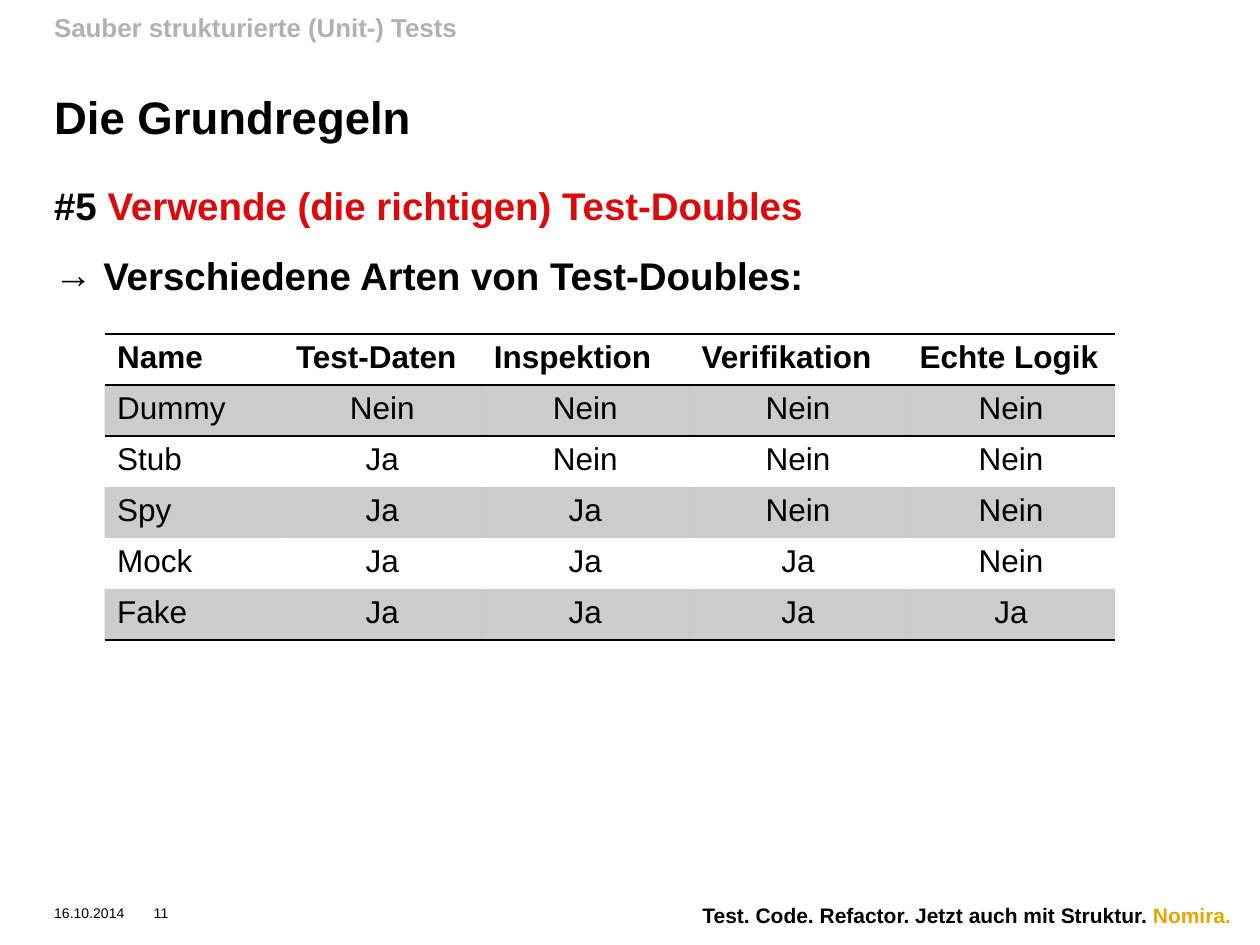
from lxml.etree import SubElement
from pptx import Presentation
from pptx.dml.color import RGBColor
from pptx.enum.text import MSO_ANCHOR as Anchor, PP_ALIGN as Align
from pptx.oxml import parse_xml
from pptx.oxml.ns import nsdecls, qn
from pptx.util import Inches, Pt

COLORS = {"text": "000000", "accent": "DC0A0A", "muted": "B0B1B3", "brand": "E1A800"}
FONT = "Arial"
NO_STYLE = "{2D5ABB26-0587-4C30-8999-92F81FD0307C}"
LEFT, WIDTH = 0.43, 8.67
COLUMN_WIDTHS = [1.42, 1.57, 1.65, 1.73, 1.65]
ROW_HEIGHT = 0.405
DOUBLES = [
    ["Name", "Test-Daten", "Inspektion", "Verifikation", "Echte Logik"],
    ["Dummy", "Nein", "Nein", "Nein", "Nein"],
    ["Stub", "Ja", "Nein", "Nein", "Nein"],
    ["Spy", "Ja", "Ja", "Nein", "Nein"],
    ["Mock", "Ja", "Ja", "Ja", "Nein"],
    ["Fake", "Ja", "Ja", "Ja", "Ja"],
]


def style_run(run, size, color="text", bold=False):
    font = run.font
    font.name, font.size, font.bold = FONT, Pt(size), bold
    font.color.rgb = RGBColor.from_string(COLORS[color])


def add_span(para, text, size, color="text", bold=False):
    span = para.add_run()
    span.text = text
    style_run(span, size, color, bold)


def add_frame(page, left, top, width, height, anchor=Anchor.TOP, wrap=True):
    """Add a text box without margins and return its text frame."""
    box = page.shapes.add_textbox(*map(Inches, (left, top, width, height)))
    frame = box.text_frame
    frame.margin_left = frame.margin_right = frame.margin_top = frame.margin_bottom = 0
    frame.vertical_anchor, frame.word_wrap = anchor, wrap
    return frame


def set_spacing(para, line, before=0):
    para.line_spacing, para.space_before = line, Pt(before)


def set_hanging_indent(para, bullet=None):
    props = para._p.get_or_add_pPr()
    props.set("marL", str(Inches(0.39)))
    props.set("indent", str(-Inches(0.39)))
    if bullet:
        color = SubElement(props, qn("a:buClr"))
        SubElement(color, qn("a:srgbClr"), val=COLORS["text"])
        SubElement(props, qn("a:buFont"), typeface=FONT)
        SubElement(props, qn("a:buChar"), char=bullet)


def add_heading(page, left, top, width):
    section = add_frame(page, left, top, width, 0.24).paragraphs[0]
    set_spacing(section, 0.9, 11)
    set_hanging_indent(section)
    add_span(section, "Sauber strukturierte (Unit-) Tests", 14.8, "muted", True)

    title = add_frame(page, left, top + 0.23, width, 0.79, Anchor.BOTTOM).paragraphs[0]
    set_spacing(title, 0.85)
    add_span(title, "Die Grundregeln", 26, bold=True)


def add_rule(page, left, top, width, height):
    frame = add_frame(page, left, top, width, height)
    rule, kinds = frame.paragraphs[0], frame.add_paragraph()
    for para in (rule, kinds):
        set_spacing(para, 1.1, 11)
    add_span(rule, "#5 ", 22, bold=True)
    add_span(rule, "Verwende (die richtigen) Test-Doubles", 22, "accent", True)
    set_hanging_indent(kinds, "→")
    add_span(kinds, "Verschiedene Arten von Test-Doubles:", 22, bold=True)


def add_border(cell, tag, position):
    line = parse_xml(
        f'<a:{tag} {nsdecls("a")} w="{Pt(1)}"><a:solidFill>'
        f'<a:srgbClr val="{COLORS["text"]}"/></a:solidFill></a:{tag}>'
    )
    cell._tc.get_or_add_tcPr().insert(position, line)


def shade(cell):
    """Fill a cell with black at 20 percent opacity."""
    cell.fill.solid()
    cell.fill.fore_color.rgb = RGBColor.from_string(COLORS["text"])
    color = cell._tc.tcPr.find(".//" + qn("a:srgbClr"))
    SubElement(color, qn("a:alpha"), val="20000")


def add_doubles_table(page, left, top):
    last = len(DOUBLES) - 1
    table = page.shapes.add_table(
        len(DOUBLES), len(COLUMN_WIDTHS), Inches(left), Inches(top),
        Inches(sum(COLUMN_WIDTHS)), Inches(ROW_HEIGHT * len(DOUBLES)),
    ).table
    table.horz_banding = False
    table._tbl.tblPr.find(qn("a:tableStyleId")).text = NO_STYLE
    for column, width in zip(table.columns, COLUMN_WIDTHS):
        column.width = Inches(width)
    for r, values in enumerate(DOUBLES):
        table.rows[r].height = Inches(ROW_HEIGHT)
        for c, value in enumerate(values):
            cell = table.cell(r, c)
            para = cell.text_frame.paragraphs[0]
            add_span(para, value, 18, bold=r == 0)
            para.alignment = Align.CENTER if r and c else Align.LEFT
            if r % 2:
                shade(cell)
            else:
                cell.fill.background()
            if r in (0, last):
                add_border(cell, "lnB", 0)
            if r == 0:
                add_border(cell, "lnT", 0)
            if r == 1:
                add_border(cell, "lnT", 0)


def add_footer(page, left, top):
    for offset, text in ((0, "16.10.2014"), (0.79, "11")):
        frame = add_frame(page, left + offset, top + 0.07, 0.79, 0.24, wrap=False)
        add_span(frame.paragraphs[0], text, 8)

    motto = add_frame(page, 2.21, top, 6.9, 0.3, Anchor.MIDDLE, False).paragraphs[0]
    motto.alignment = Align.RIGHT
    add_span(motto, "Test. Code. Refactor. Jetzt auch mit Struktur.", 12, bold=True)
    brand = add_frame(page, 9.15, top, 0.85, 0.3, Anchor.MIDDLE, False).paragraphs[0]
    add_span(brand, "Nomira.", 12, "brand", True)


def main():
    deck = Presentation()
    deck.slide_width, deck.slide_height = Inches(10), Inches(7.5)
    page = deck.slides.add_slide(deck.slide_layouts[6])
    add_heading(page, LEFT, 0.12, WIDTH)
    add_rule(page, LEFT, 1.41, WIDTH, 1.16)
    add_doubles_table(page, 0.83, 2.65)
    add_footer(page, LEFT, 7.11)
    deck.save("out.pptx")


if __name__ == "__main__":
    main()
